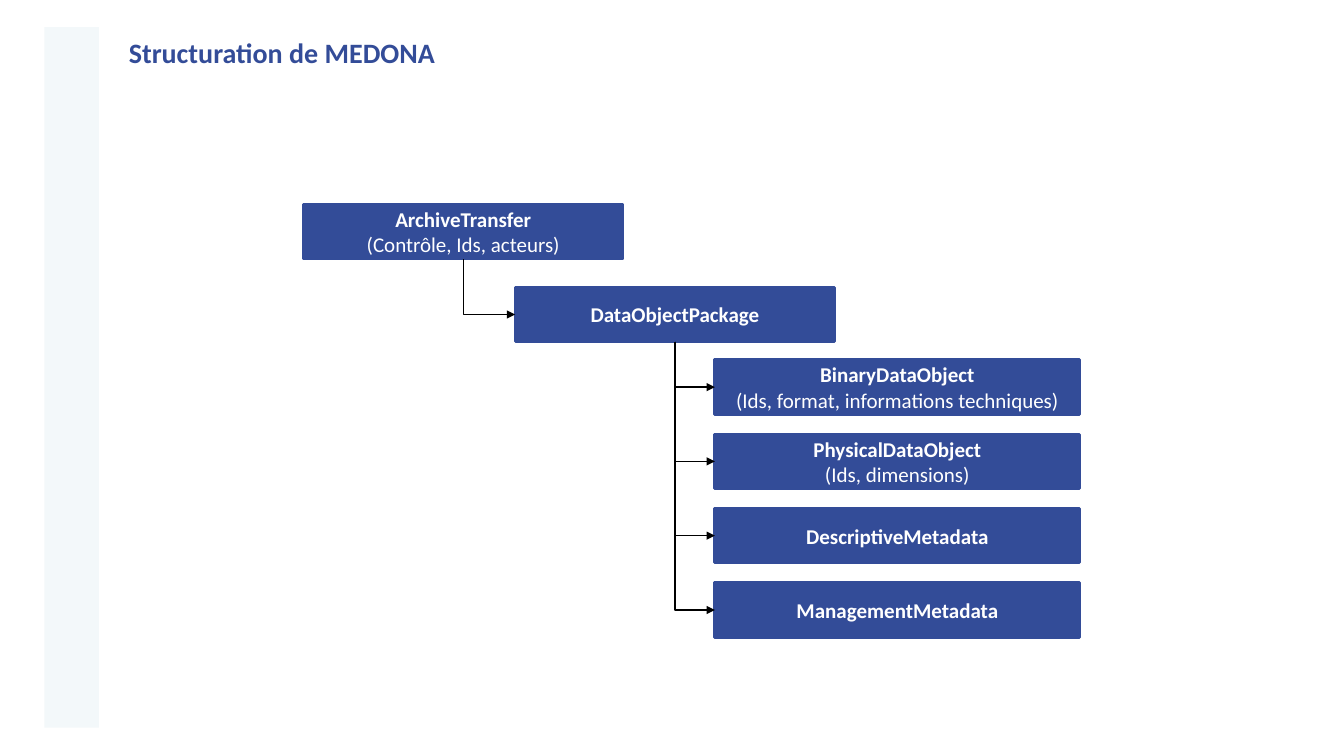
import lxml.etree
import pptx
import pptx.dml.color
import pptx.enum.shapes
import pptx.enum.text
import pptx.oxml.ns
import pptx.util

# Slide size in inches, cut into a grid of square cells
WIDTH, HEIGHT = 13.33, 7.5
CELL = 0.1


def colour(code):
    return pptx.dml.color.RGBColor.from_string(code)


def cells(count):
    return pptx.util.Inches(count * CELL)


class Slide:
    font = "Calibri"
    blue, pale, white, black = "334C98", "F3F8FA", "FFFFFF", "000000"

    def __init__(self, deck):
        self.page = deck.slides.add_slide(deck.slide_layouts[6])

    def span(self, para, text, size, code, bold):
        span = para.add_run()
        span.text = text
        span.font.name = self.font
        span.font.size = pptx.util.Pt(size)
        span.font.bold = bold
        span.font.color.rgb = colour(code)

    def rectangle(self, left, top, width, height, fill):
        box = self.page.shapes.add_shape(
            pptx.enum.shapes.MSO_SHAPE.RECTANGLE, *map(cells, (left, top, width, height)))
        box.shadow.inherit = False
        box.fill.solid()
        box.fill.fore_color.rgb = colour(fill)
        box.line.fill.background()
        return box

    def title(self, left, top, width, height, text):
        box = self.page.shapes.add_textbox(*map(cells, (left, top, width, height)))
        frame = box.text_frame
        frame.word_wrap = True
        frame.auto_size = pptx.enum.text.MSO_AUTO_SIZE.SHAPE_TO_FIT_TEXT
        self.span(frame.paragraphs[0], text, 20, self.blue, True)

    def node(self, left, top, width, name, detail=None):
        box = self.rectangle(left, top, width, 5.4, self.blue)
        box.line.color.rgb = colour(self.blue)
        box.line.width = pptx.util.Pt(2)
        frame = box.text_frame
        frame.word_wrap = True
        frame.vertical_anchor = pptx.enum.text.MSO_ANCHOR.MIDDLE
        para = frame.paragraphs[0]
        para.alignment = pptx.enum.text.PP_ALIGN.CENTER
        self.span(para, name, 15, self.white, True)
        if detail:
            para = frame.add_paragraph()
            para.alignment = pptx.enum.text.PP_ALIGN.CENTER
            self.span(para, detail, 15, self.white, False)
        return box

    def branch(self, parent, child):
        """Arrow down from the parent's bottom, then right to the child's left side."""
        x, y = parent.left + parent.width // 2, parent.top + parent.height
        across = child.left - x
        down = child.top + child.height // 2 - y
        link = self.page.shapes.add_connector(
            pptx.enum.shapes.MSO_CONNECTOR.ELBOW, x, y, x + across, y + down)
        link.begin_connect(parent, 2)
        link.end_connect(child, 1)
        link.line.color.rgb = colour(self.black)
        link.line.width = pptx.util.Pt(1)

        # A one-corner elbow is drawn lying down, so turn it about its centre
        link.left, link.top = x + (across - down) // 2, y + (down - across) // 2
        link.width, link.height = down, across
        properties = link._element.spPr
        turn = properties.find(pptx.oxml.ns.qn("a:xfrm"))
        turn.set("rot", str(270 * 60000))
        turn.set("flipH", "1")
        properties.find(pptx.oxml.ns.qn("a:prstGeom")).set("prst", "bentConnector2")

        # Arrowhead, and no shadow
        line = properties.find(pptx.oxml.ns.qn("a:ln"))
        lxml.etree.SubElement(line, pptx.oxml.ns.qn("a:tailEnd"), type="triangle")
        lxml.etree.SubElement(properties, pptx.oxml.ns.qn("a:effectLst"))


def main():
    deck = pptx.Presentation()
    deck.slide_width = pptx.util.Inches(WIDTH)
    deck.slide_height = pptx.util.Inches(HEIGHT)
    slide = Slide(deck)

    # Side band and title
    slide.rectangle(4.4, 2.7, 5.4, 69.5, slide.pale)
    slide.title(11.8, 3, 117.7, 4.3, "Structuration de MEDONA")

    # Upper two levels
    transfer = slide.node(30.1, 20.3, 31.7, "ArchiveTransfer", "(Contrôle, Ids, acteurs)")
    package = slide.node(51.1, 28.5, 31.7, "DataObjectPackage")
    slide.branch(transfer, package)

    # Contents of the package, evenly stacked
    contents = [
        ("BinaryDataObject", "(Ids, format, informations techniques)"),
        ("PhysicalDataObject", "(Ids, dimensions)"),
        ("DescriptiveMetadata", None),
        ("ManagementMetadata", None),
    ]
    for row, (name, detail) in enumerate(contents):
        part = slide.node(70.9, 35.7 + 7.37 * row, 36.2, name, detail)
        slide.branch(package, part)

    deck.save("out.pptx")


if __name__ == "__main__":
    main()
